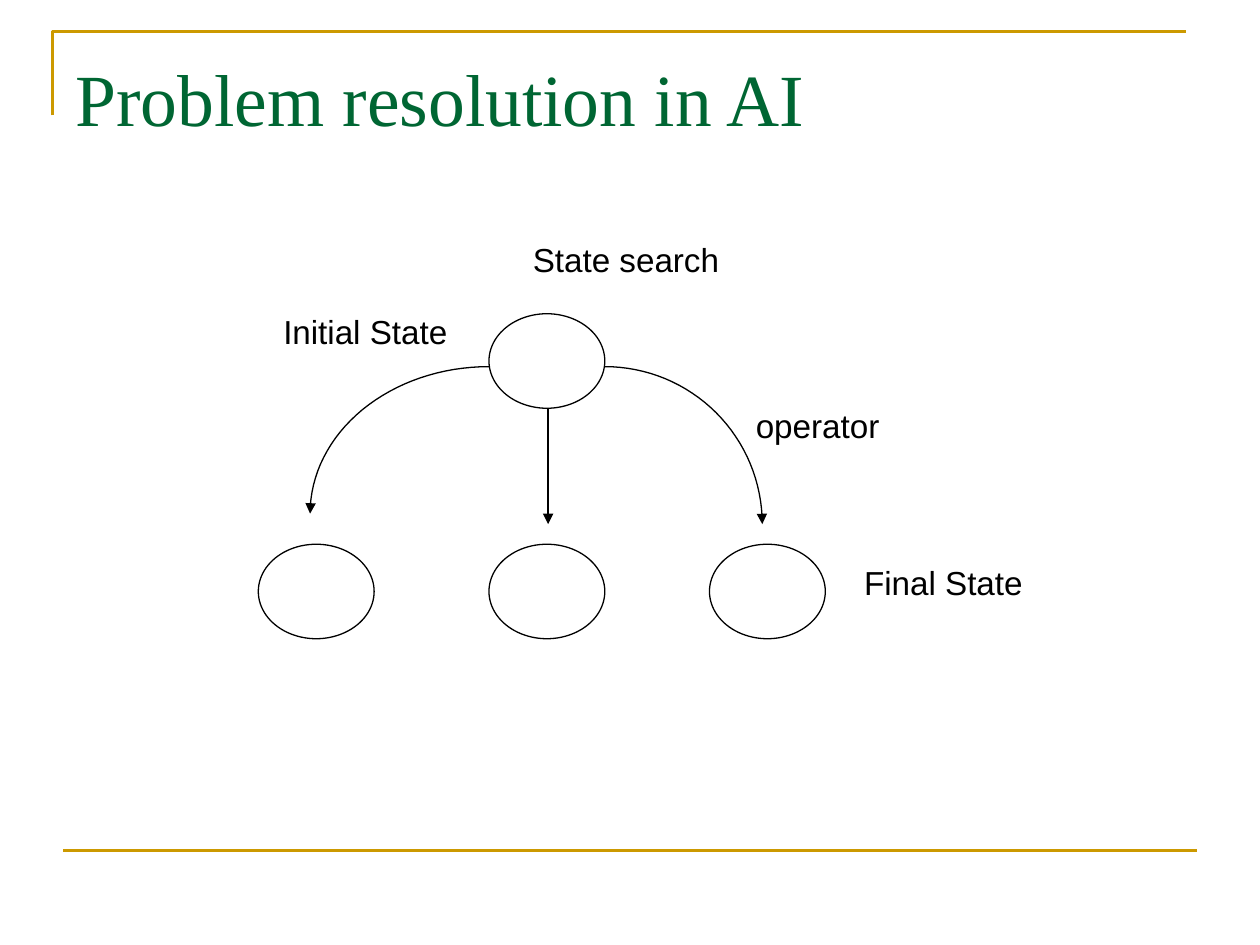
from math import cos, pi, sin

from lxml.etree import SubElement
from pptx import Presentation
from pptx.dml.color import RGBColor
from pptx.enum.shapes import MSO_CONNECTOR as Connector, MSO_SHAPE as Shape
from pptx.enum.text import MSO_ANCHOR as Anchor
from pptx.oxml.ns import qn
from pptx.util import Pt

GOLD, GREEN, BLACK = "CC9900", "006633", "000000"
RULE_WIDTH, DIAGRAM_WIDTH = 1.5, 0.74

TITLE = ("Problem resolution in AI", 36, 21.6, 648, 56.2)
LABELS = [
    ("State search", 297.4, 133.2, 121),
    ("Initial State", 154.8, 174.4, 108),
    ("operator", 424.8, 228.2, 85),
    ("Final State", 486.7, 317.5, 105),
]
STATE_WIDTH, STATE_HEIGHT = 66.2, 54
STATES = [(279.4, 179.3), (405.4, 311), (279.4, 311), (147.6, 311)]
ARCS = [(279.4, 209.5, -102.2, 84), (345.6, 209.5, 90, 90)]
ARC_STEPS = 32

deck = Presentation()
deck.slide_width, deck.slide_height = Pt(720), Pt(540)
page = deck.slides.add_slide(deck.slide_layouts[6])


def color(value):
    return RGBColor.from_string(value)


def style_line(item, value, width, arrow=False):
    item.line.color.rgb = color(value)
    item.line.width = Pt(width)
    if arrow:
        SubElement(item.line._get_or_add_ln(), qn("a:tailEnd"), type="triangle")


def add_line(start, end, value, width, arrow=False):
    line = page.shapes.add_connector(Connector.STRAIGHT, *map(Pt, start + end))
    style_line(line, value, width, arrow)
    SubElement(line._element.spPr, qn("a:effectLst"))


def add_outline(points, value, width, arrow=False):
    corners = [(Pt(x), Pt(y)) for x, y in points]
    builder = page.shapes.build_freeform(*corners[0])
    builder.add_line_segments(corners[1:], close=False)
    outline = builder.convert_to_shape()
    outline.shadow.inherit = False
    outline.fill.background()
    style_line(outline, value, width, arrow)


def add_text(text, left, top, width, height, size, font, value, wrap):
    box = page.shapes.add_textbox(*map(Pt, (left, top, width, height)))
    frame = box.text_frame
    frame.word_wrap = wrap
    frame.vertical_anchor = Anchor.TOP
    frame.text = text
    span = frame.paragraphs[0].runs[0]
    span.font.size, span.font.name = Pt(size), font
    span.font.color.rgb = color(value)
    return frame


add_outline([(30, 66), (30, 18), (678, 18)], GOLD, RULE_WIDTH)
add_line((36, 486), (684, 486), GOLD, RULE_WIDTH)

for left, top in STATES:
    state = page.shapes.add_shape(
        Shape.OVAL, *map(Pt, (left, top, STATE_WIDTH, STATE_HEIGHT)))
    state.shadow.inherit = False
    state.fill.background()
    style_line(state, BLACK, DIAGRAM_WIDTH)

for x, y, reach, drop in ARCS:
    angles = [pi / 2 * step / ARC_STEPS for step in range(ARC_STEPS + 1)]
    curve = [(x + reach * sin(a), y + drop * (1 - cos(a))) for a in angles]
    add_outline(curve, BLACK, DIAGRAM_WIDTH, arrow=True)
add_line((313.2, 233.3), (313.2, 299.5), BLACK, DIAGRAM_WIDTH, arrow=True)

for text, left, top, width in LABELS:
    add_text(text, left, top, width, 30.2, 19, "Arial", BLACK, False)

title = add_text(*TITLE, 42, "Times New Roman", GREEN, True)
title.margin_top, title.margin_bottom = Pt(8.6), Pt(0)

deck.save("out.pptx")
